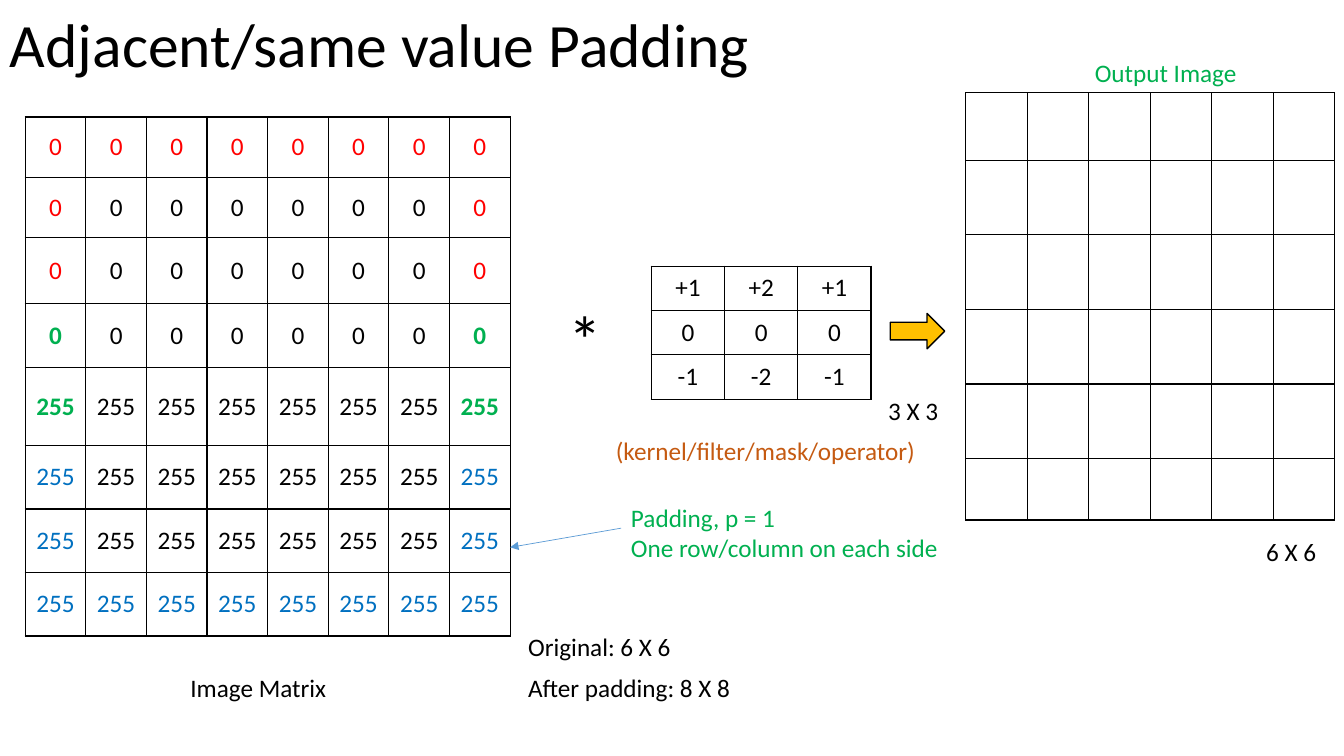
import pptx
import pptx.util
import pptx.dml.color
import pptx.enum.dml
import pptx.enum.shapes
import pptx.enum.text
import pptx.oxml
import pptx.oxml.ns
from lxml import etree
from pptx.util import Inches

THEME = {
    "font": "Calibri",
    "title": 44, "symbol": 48, "body": 18,
    "black": "000000", "white": "FFFFFF", "red": "FF0000", "green": "00B050",
    "blue": "0070C0", "rust": "C55A11", "gold": "FFC000", "pointer": "5B9BD5",
}


def add_text(frame, lines, color="black", size="body", bold=False, align=None):
    for number, line in enumerate(lines):
        paragraph = frame.add_paragraph() if number else frame.paragraphs[0]
        paragraph.alignment = align
        run = paragraph.add_run()
        run.text = line
        run.font.name = THEME["font"]
        run.font.size = pptx.util.Pt(THEME[size])
        run.font.bold = bold
        run.font.color.rgb = pptx.dml.color.RGBColor.from_string(THEME[color])


def add_grid(left, top, width, heights, columns, fill=None):
    frame = slide.shapes.add_table(len(heights), columns, Inches(left), Inches(top),
                                   Inches(width), Inches(sum(heights)))
    grid = frame.table
    grid.first_row = False
    grid.horz_banding = False
    for column in grid.columns:
        column.width = Inches(width / columns)
    for row, height in zip(grid.rows, heights):
        row.height = Inches(height)
    for cell in grid.iter_cells():
        cell.vertical_anchor = pptx.enum.text.MSO_ANCHOR.MIDDLE
        properties = cell._tc.get_or_add_tcPr()
        for side in ("lnL", "lnR", "lnT", "lnB"):
            border = etree.SubElement(properties, pptx.oxml.ns.qn(f"a:{side}"), w="12700")
            solid = etree.SubElement(border, pptx.oxml.ns.qn("a:solidFill"))
            etree.SubElement(solid, pptx.oxml.ns.qn("a:srgbClr"), val=THEME["black"])
        if fill:
            cell.fill.solid()
            cell.fill.fore_color.rgb = pptx.dml.color.RGBColor.from_string(THEME[fill])
        else:
            cell.fill.background()
        cell.text_frame.paragraphs[0].font.size = pptx.util.Pt(THEME["body"])
    return grid


deck = pptx.Presentation()
deck.slide_width = Inches(13.33)
deck.slide_height = Inches(7.5)
slide = deck.slides.add_slide(deck.slide_layouts[6])
center = pptx.enum.text.PP_ALIGN.CENTER

title = slide.shapes.add_textbox(0, 0, Inches(11.5), Inches(0.94)).text_frame
title.word_wrap = True
title.vertical_anchor = pptx.enum.text.MSO_ANCHOR.MIDDLE
add_text(title, ["Adjacent/same value Padding"], size="title")
title.paragraphs[0].line_spacing = 0.9

kernel = add_grid(6.46, 2.64, 2.18, [0.44] * 3, 3)
kernel_values = [["+1", "+2", "+1"], ["0", "0", "0"], ["-1", "-2", "-1"]]
for r, values in enumerate(kernel_values):
    for c, value in enumerate(values):
        add_text(kernel.cell(r, c).text_frame, [value], align=center)

add_grid(9.58, 0.92, 3.66, [0.67] + [0.74] * 4 + [0.61], 6)

image_matrix = add_grid(0.25, 1.16, 4.81, [0.6, 0.6, 0.65, 0.64, 0.77, 0.63, 0.63, 0.63], 8, "white")
padding_colors = ["red"] * 3 + ["green"] * 2 + ["blue"] * 3
for r, padding_color in enumerate(padding_colors):
    for c in range(8):
        padded = r in (0, 7) or c in (0, 7)
        add_text(image_matrix.cell(r, c).text_frame, ["0" if r < 4 else "255"],
                 padding_color if padded else "black",
                 bold=padded and padding_color == "green", align=center)

labels = [
    (5.54, 2.9, 0.47, 0.91, ["*"], "black", "symbol"),
    (8.71, 3.87, 0.78, 0.4, ["3 X 3"], "black", "body"),
    (12.46, 5.27, 0.78, 0.4, ["6 X 6"], "black", "body"),
    (6.01, 4.27, 3.23, 0.4, ["(kernel/filter/mask/operator)"], "rust", "body"),
    (5.14, 6.21, 1.78, 0.4, ["Original: 6 X 6"], "black", "body"),
    (1.79, 6.62, 1.73, 0.4, ["Image Matrix"], "black", "body"),
    (10.76, 0.52, 1.69, 0.4, ["Output Image"], "green", "body"),
    (5.14, 6.62, 3.04, 0.4, ["After padding: 8 X 8"], "black", "body"),
    (6.16, 4.93, 3.32, 0.71, ["Padding, p = 1", "One row/column on each side"], "green", "body"),
]
for left, top, width, height, lines, color, size in labels:
    label = slide.shapes.add_textbox(Inches(left), Inches(top), Inches(width), Inches(height)).text_frame
    label.word_wrap = True
    label.auto_size = pptx.enum.text.MSO_AUTO_SIZE.SHAPE_TO_FIT_TEXT
    add_text(label, lines, color, size)

result_arrow = slide.shapes.add_shape(pptx.enum.shapes.MSO_SHAPE.RIGHT_ARROW,
                                      Inches(8.83), Inches(3.11), Inches(0.54), Inches(0.35))
result_arrow.shadow.inherit = False
result_arrow.fill.solid()
result_arrow.fill.fore_color.rgb = pptx.dml.color.RGBColor.from_string(THEME["gold"])
result_arrow.line.color.rgb = pptx.dml.color.RGBColor.from_string(THEME["black"])
result_arrow.line.width = pptx.util.Pt(1)

padding_pointer = slide.shapes.add_connector(pptx.enum.shapes.MSO_CONNECTOR.STRAIGHT,
                                             Inches(6.16), Inches(5.24), Inches(5.06), Inches(5.43))
padding_pointer.line.color.rgb = pptx.dml.color.RGBColor.from_string(THEME["pointer"])
padding_pointer.line.width = pptx.util.Pt(0.5)
etree.SubElement(padding_pointer.line._get_or_add_ln(), pptx.oxml.ns.qn("a:tailEnd"), type="triangle")
etree.SubElement(padding_pointer._element.spPr, pptx.oxml.ns.qn("a:effectLst"))

deck.save("out.pptx")
